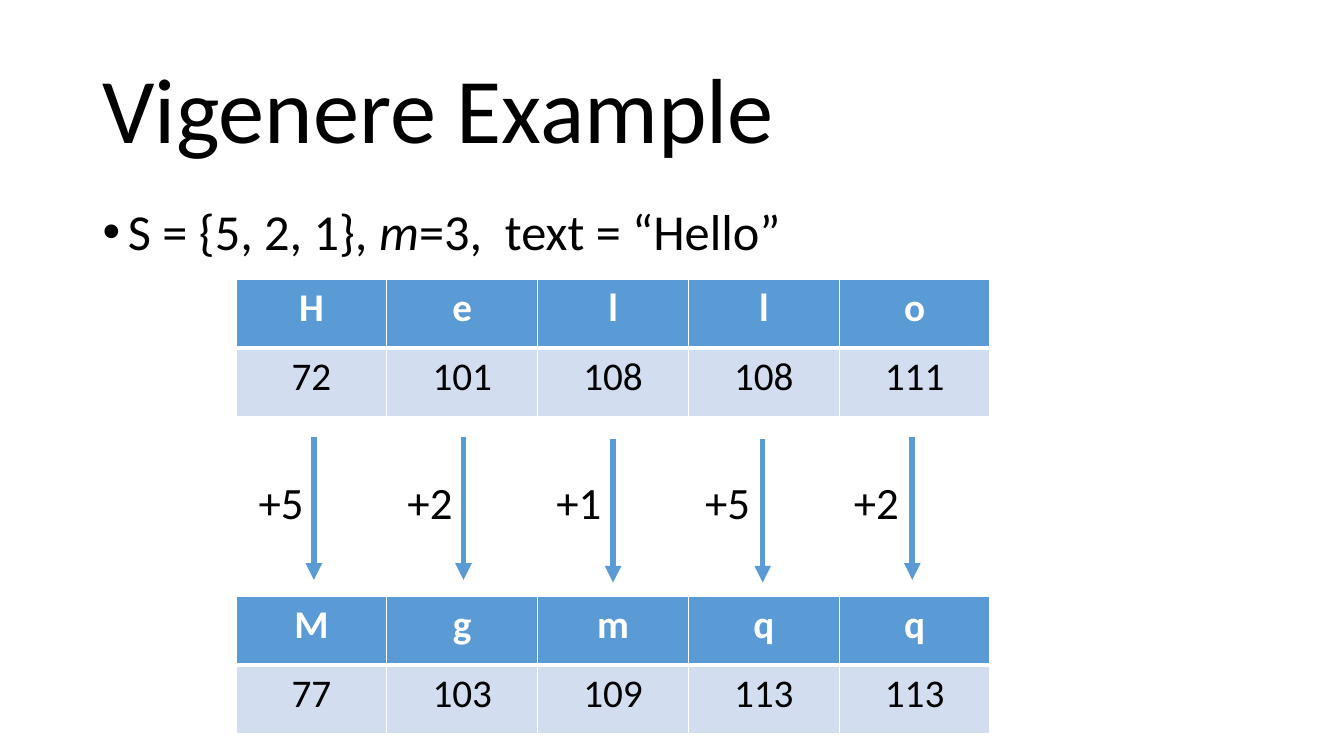
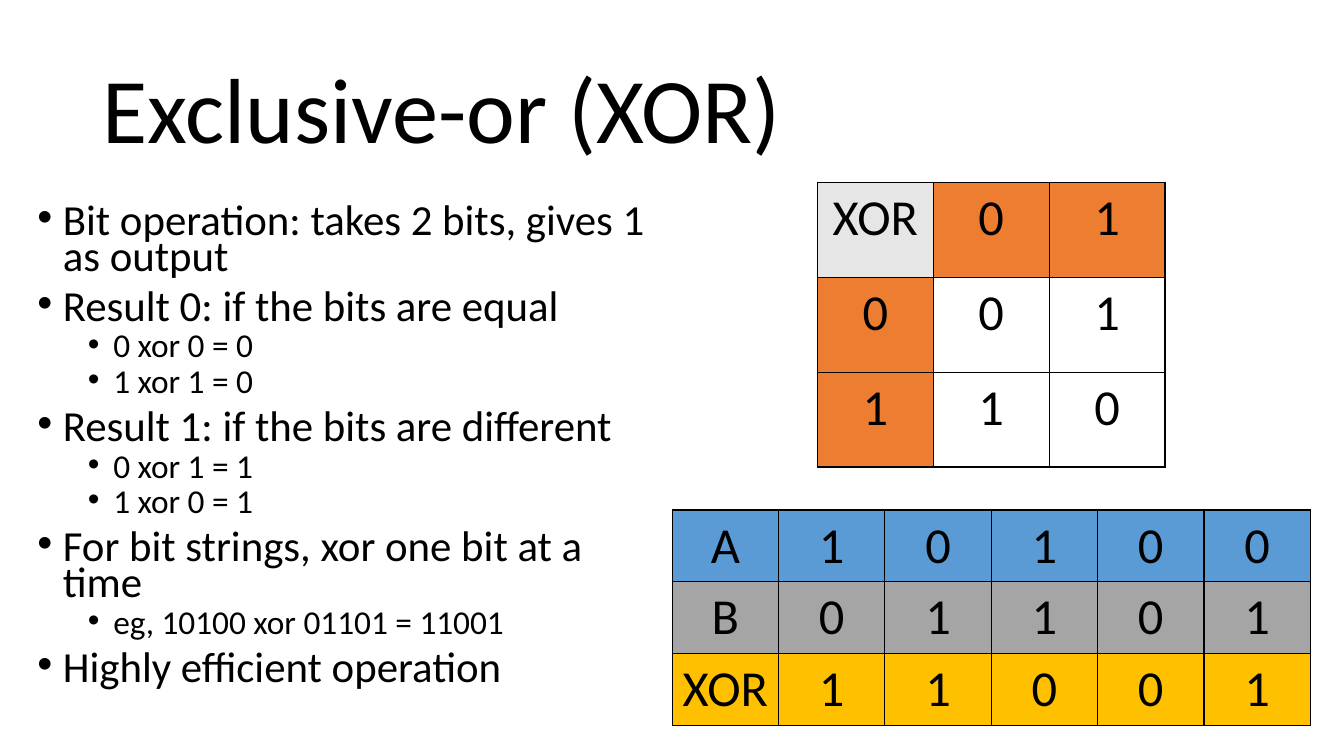
"""Build two slides on the Vigenere cipher and the exclusive-or operation."""
from dataclasses import dataclass
from typing import Optional

from lxml import etree
from pptx import Presentation
from pptx.dml.color import RGBColor
from pptx.enum.shapes import MSO_CONNECTOR
from pptx.enum.text import MSO_ANCHOR, MSO_AUTO_SIZE, PP_ALIGN
from pptx.oxml.ns import qn
from pptx.presentation import Presentation as Deck
from pptx.slide import Slide
from pptx.table import _Cell
from pptx.text.text import Font, _Paragraph
from pptx.util import Cm, Pt

STRAIGHT = MSO_CONNECTOR.STRAIGHT
MIDDLE = MSO_ANCHOR.MIDDLE
NO_FIT = MSO_AUTO_SIZE.NONE
GROW = MSO_AUTO_SIZE.SHAPE_TO_FIT_TEXT
LEFT = PP_ALIGN.LEFT
CENTER = PP_ALIGN.CENTER

BLACK = RGBColor(0x00, 0x00, 0x00)
WHITE = RGBColor(0xFF, 0xFF, 0xFF)
BLUE = RGBColor(0x5B, 0x9B, 0xD5)
PALE = RGBColor(0xD2, 0xDE, 0xEF)
ORANGE = RGBColor(0xED, 0x7D, 0x31)
LIGHT = RGBColor(0xE7, 0xE6, 0xE6)
GRAY = RGBColor(0xA5, 0xA5, 0xA5)
GOLD = RGBColor(0xFF, 0xC0, 0x00)

FACE = "Calibri"
Box = tuple[float, float, float, float]
Fill = Optional[RGBColor]


@dataclass(frozen=True)
class Item:
    """One bullet; every second text is in italics."""
    texts: tuple[str, ...]
    level: int = 0


@dataclass(frozen=True)
class Style:
    """Type sizes per level and the line spacing of a list."""
    sizes: tuple[float, ...]
    pitch: float


@dataclass(frozen=True)
class Grid:
    """A table with equal cells, measured in centimetres."""
    left: float
    top: float
    width: float
    height: float
    rows: list[list[str]]
    fills: list[list[Fill]]
    size: float = 36
    edge: RGBColor = BLACK
    header: bool = False


@dataclass(frozen=True)
class Shift:
    """One step of the cipher: its label and the drop of its arrow."""
    label: str
    drop: float = 0


def set_font(font: Font, size: float, color: RGBColor = BLACK, bold: bool = False) -> None:
    """Apply the common face with a size, colour and weight."""
    font.name = FACE
    font.size = Pt(size)
    font.color.rgb = color
    font.bold = bold


def place(shape, box: Box) -> None:
    """Move and size a shape."""
    shape.left, shape.top, shape.width, shape.height = map(Cm, box)


def add_bullet(para: _Paragraph, level: int) -> None:
    """Give a paragraph a round bullet and a hanging indent."""
    props = para._p.get_or_add_pPr()
    props.set("marL", str(Cm(0.64 + 1.27 * level)))
    props.set("indent", str(-Cm(0.64)))
    etree.SubElement(props, qn("a:buFont"), typeface="Arial")
    etree.SubElement(props, qn("a:buChar"), char="•")


def add_slide(deck: Deck, title: str, box: Box, items: list[Item], style: Style) -> Slide:
    """Add a slide with its title and bullet list."""
    slide = deck.slides.add_slide(deck.slide_layouts[1])
    head, body = slide.placeholders
    place(head, (2.33, 1.01, 29.21, 3.68))
    frame = head.text_frame
    frame.text = title
    frame.vertical_anchor = MIDDLE
    frame.auto_size = NO_FIT
    para = frame.paragraphs[0]
    para.alignment = LEFT
    para.line_spacing = 0.9
    set_font(para.runs[0].font, 66)

    place(body, box)
    frame = body.text_frame
    frame.auto_size = NO_FIT
    for index, item in enumerate(items):
        para = frame.add_paragraph() if index else frame.paragraphs[0]
        para.level = item.level
        add_bullet(para, item.level)
        para.line_spacing = style.pitch
        para.space_before = Pt((10, 5)[item.level] if index else 0)
        for order, text in enumerate(item.texts):
            run = para.add_run()
            run.text = text
            set_font(run.font, style.sizes[item.level])
            run.font.italic = order % 2 == 1
    return slide


def set_edge(cell: _Cell, side: str, color: RGBColor, width: float) -> None:
    """Draw one border of a cell."""
    props = cell._tc.get_or_add_tcPr()
    line = etree.SubElement(props, qn(f"a:ln{side}"), w=str(Pt(width)))
    fill = etree.SubElement(line, qn("a:solidFill"))
    etree.SubElement(fill, qn("a:srgbClr"), val=str(color))


def add_grid(slide: Slide, grid: Grid) -> None:
    """Draw a table with its fills and borders."""
    count, span = len(grid.rows), len(grid.rows[0])
    table = slide.shapes.add_table(
        count, span, Cm(grid.left), Cm(grid.top),
        Cm(grid.width * span), Cm(grid.height * count)).table
    table.first_row = table.horz_banding = False
    for column in table.columns:
        column.width = Cm(grid.width)
    for y, row in enumerate(table.rows):
        row.height = Cm(grid.height)
        first = grid.header and y == 0
        for x, cell in enumerate(row.cells):
            thick = {"B"} if first else {"T"} if grid.header else set()
            for side in "LRTB":
                set_edge(cell, side, grid.edge, 3 if side in thick else 1)
            fill = grid.fills[y][x]
            if fill is None:
                cell.fill.background()
            else:
                cell.fill.solid()
                cell.fill.fore_color.rgb = fill
            cell.text_frame.text = grid.rows[y][x]
            para = cell.text_frame.paragraphs[0]
            para.alignment = CENTER
            set_font(para.runs[0].font, grid.size, WHITE if first else BLACK, first)


def add_arrow(slide: Slide, x: float, top: float, length: float) -> None:
    """Draw an arrow that points down."""
    arrow = slide.shapes.add_connector(STRAIGHT, Cm(x), Cm(top), Cm(x), Cm(top + length))
    arrow.line.color.rgb = BLUE
    arrow.line.width = Pt(4)
    props = arrow._element.spPr
    etree.SubElement(props.find(qn("a:ln")), qn("a:tailEnd"), type="triangle")
    etree.SubElement(props, qn("a:effectLst"))


def add_label(slide: Slide, text: str, box: Box) -> None:
    """Write a short label that does not wrap."""
    frame = slide.shapes.add_textbox(*map(Cm, box)).text_frame
    frame.word_wrap = False
    frame.auto_size = GROW
    frame.text = text
    set_font(frame.paragraphs[0].runs[0].font, 32)


def code_grid(top: float, text: str) -> Grid:
    """Pair each letter of a text with its character code."""
    rows = [list(text), [str(ord(sign)) for sign in text]]
    fills = [[BLUE] * len(text), [PALE] * len(text)]
    return Grid(5.95, top, 3.8, 1.73, rows, fills, 28, WHITE, True)


def draw_cipher(deck: Deck) -> None:
    """Draw the cipher example."""
    items = [Item(("S = {5, 2, 1}, ", "m", "=3,  text = “Hello”"))]
    slide = add_slide(deck, "Vigenere Example", (2.33, 5.08, 29.21, 12.09),
                      items, Style((36,), 0.9))
    add_grid(slide, code_grid(7.04, "Hello"))
    add_grid(slide, code_grid(15.02, "Mgmqq"))
    shifts = [Shift("+5"), Shift("+2"), Shift("+1", 0.07), Shift("+5", 0.07), Shift("+2")]
    for index, shift in enumerate(shifts):
        add_arrow(slide, 7.91 + 3.77 * index, 11 + shift.drop, 3.61)
        add_label(slide, shift.label, (6.27 + 3.75 * index, 11.84, 1.65, 1.63))


def draw_xor(deck: Deck) -> None:
    """Draw the exclusive-or rules and tables."""
    items = [
        Item(("Bit operation: takes 2 bits, gives 1 as output",)),
        Item(("Result 0: if the bits are equal",)),
        Item(("0 xor 0 = 0",), 1),
        Item(("1 xor 1 = 0",), 1),
        Item(("Result 1: if the bits are different",)),
        Item(("0 xor 1 = 1",), 1),
        Item(("1 xor 0 = 1",), 1),
        Item(("For bit strings, xor one bit at a time",)),
        Item(("eg, 10100 xor 01101 = 11001",), 1),
        Item(("Highly efficient operation",)),
    ]
    slide = add_slide(deck, "Exclusive-or (XOR)", (0.69, 5.08, 16.1, 13.39),
                      items, Style((30.6, 23.8), 0.7))
    truth = [["XOR", "0", "1"], ["0", "0", "1"], ["1", "1", "0"]]
    tints = [[LIGHT, ORANGE, ORANGE]] + [[ORANGE, None, None]] * 2
    add_grid(slide, Grid(20.6, 4.6, 2.92, 2.39, truth, tints))
    bits = [["A", *"10100"], ["B", *"01101"], ["XOR", *"11001"]]
    bands = [[tint] * 6 for tint in (BLUE, GRAY, GOLD)]
    add_grid(slide, Grid(16.94, 12.85, 2.68, 1.81, bits, bands))


def main() -> None:
    """Build and save the slides."""
    deck = Presentation()
    deck.slide_width, deck.slide_height = Cm(33.87), Cm(19.05)
    draw_cipher(deck)
    draw_xor(deck)
    deck.save("out.pptx")


if __name__ == "__main__":
    main()
